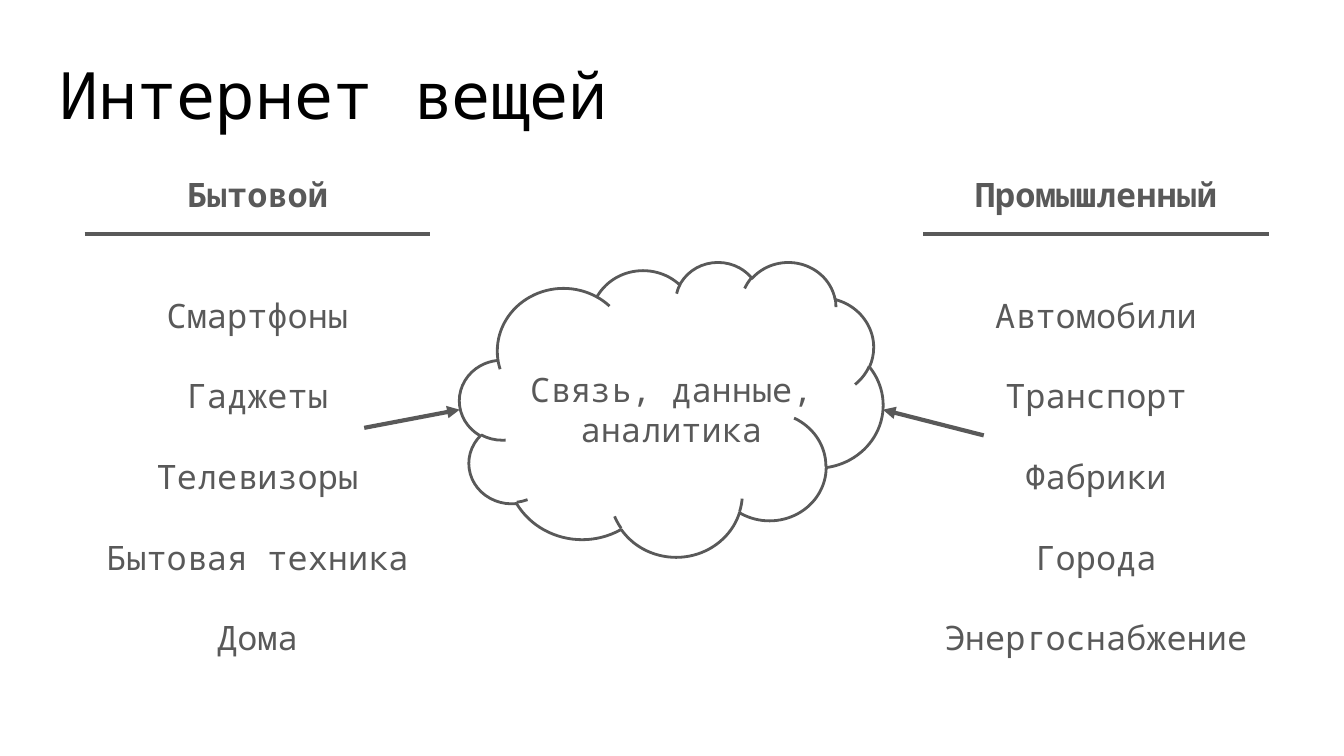
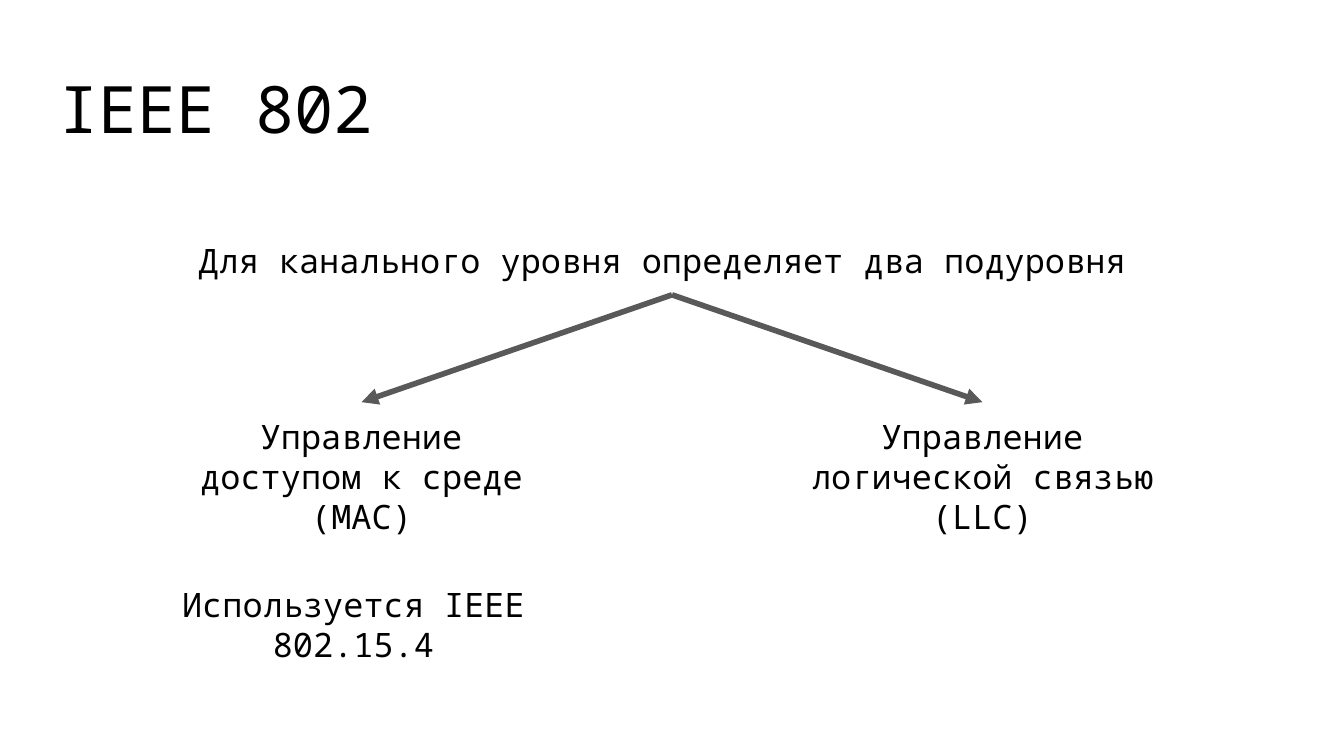
from lxml import etree
from pptx import Presentation
from pptx.dml.color import RGBColor
from pptx.enum.dml import MSO_FILL
from pptx.enum.shapes import MSO_CONNECTOR, MSO_SHAPE
from pptx.enum.text import MSO_ANCHOR, MSO_AUTO_SIZE, PP_ALIGN
from pptx.oxml.ns import qn
from pptx.util import Inches, Pt

BLACK = RGBColor(0x00, 0x00, 0x00)
GRAY = RGBColor(0x59, 0x59, 0x59)
FONT = "Noto Sans Mono"
LEFT, CENTER = PP_ALIGN.LEFT, PP_ALIGN.CENTER
TOP_ANCHOR = MSO_ANCHOR.TOP
FIXED, GROW = MSO_AUTO_SIZE.NONE, MSO_AUTO_SIZE.SHAPE_TO_FIT_TEXT
STRAIGHT = MSO_CONNECTOR.STRAIGHT
CLOUD = MSO_SHAPE.CLOUD
TOP, LEFT_SIDE, BOTTOM, RIGHT_SIDE = range(4)
BLANK_LINE = Pt(21.6)

deck = Presentation()
deck.slide_width = Inches(10)
deck.slide_height = Inches(5.625)
COLUMN = deck.slide_width // 1000
ROW = deck.slide_height // 500
TITLE_ONLY = deck.slide_layouts[5]


def write_text(box, lines, left, top, width, height, size=18, color=BLACK,
               align=CENTER, fit=GROW, heading=False):
    box.left, box.top = left * COLUMN, top * ROW
    box.width, box.height = width * COLUMN, height * ROW
    frame = box.text_frame
    frame.word_wrap = True
    frame.auto_size = fit
    frame.vertical_anchor = TOP_ANCHOR
    frame.margin_left = frame.margin_right = Inches(0.1)
    frame.margin_top = frame.margin_bottom = Inches(0.1)
    for index, line in enumerate(lines):
        para = frame.add_paragraph() if index else frame.paragraphs[0]
        para.alignment = align
        if heading and index:
            para.space_before = BLANK_LINE * (2 if index == 1 else 1)
        span = para.add_run()
        span.text = line
        span.font.name = FONT
        span.font.size = Pt(size)
        span.font.bold = heading and index == 0
        span.font.color.rgb = color
    return box


def draw_line(page, start, end, weight=2.25, arrow=False):
    line = page.shapes.add_connector(
        STRAIGHT, start[0] * COLUMN, start[1] * ROW, end[0] * COLUMN, end[1] * ROW)
    line.line.color.rgb = GRAY
    line.line.width = Pt(weight)
    if arrow:
        etree.SubElement(line.line._get_or_add_ln(), qn("a:tailEnd"), type="triangle")
    etree.SubElement(line._element.spPr, qn("a:effectLst"))
    return line


pages = []
for title, top in (("Интернет вещей", 27), ("IEEE 802", 36)):
    page = deck.slides.add_slide(TITLE_ONLY)
    write_text(page.shapes.title, [title], 34, top, 932, 63,
               size=35, align=LEFT, fit=FIXED)
    pages.append(page)
things_page, standard_page = pages

# Internet of things: two lists around a cloud
cloud_text = write_text(things_page.shapes.add_textbox(0, 0, 0, 0),
                        ["Связь, данные,", "аналитика"],
                        342, 235, 315, 72, color=GRAY)

lists = (
    (34, ["Бытовой", "Смартфоны", "Гаджеты", "Телевизоры",
          "Бытовая техника", "Дома"]),
    (658, ["Промышленный", "Автомобили", "Транспорт", "Фабрики",
           "Города", "Энергоснабжение"]),
)
for left, lines in lists:
    write_text(things_page.shapes.add_textbox(0, 0, 0, 0), lines,
               left, 106, 315, 341, color=GRAY, heading=True)
    draw_line(things_page, (left + 29, 155), (left + 286, 155))

cloud = things_page.shapes.add_shape(
    CLOUD, 342 * COLUMN, 173 * ROW, 315 * COLUMN, 195 * ROW)
cloud.shadow.inherit = False
cloud.fill.background()
cloud.line.color.rgb = GRAY
cloud.line.width = Pt(1.5)

for start, end, side in (((271, 283), (342, 271), LEFT_SIDE),
                         ((732, 288), (657, 271), RIGHT_SIDE)):
    arrow = draw_line(things_page, start, end, arrow=True)
    arrow.end_connect(cloud_text, side)

# IEEE 802: one statement branching into two sublayers
statement = write_text(standard_page.shapes.add_textbox(0, 0, 0, 0),
                       ["Для канального уровня определяет два подуровня "],
                       119, 150, 762, 45)
for left, sublayer in ((119, "Управление доступом к среде (MAC)"),
                       (581, "Управление логической связью (LLC)")):
    branch = write_text(standard_page.shapes.add_textbox(0, 0, 0, 0), [sublayer],
                        left, 266, 300, 99)
    arrow = draw_line(standard_page, (500, 195), (left + 150, 266),
                      weight=3, arrow=True)
    arrow.begin_connect(statement, BOTTOM)
    arrow.end_connect(branch, TOP)

write_text(standard_page.shapes.add_textbox(0, 0, 0, 0),
           ["Используется IEEE 802.15.4"], 113, 377, 300, 72)

deck.save("out.pptx")
